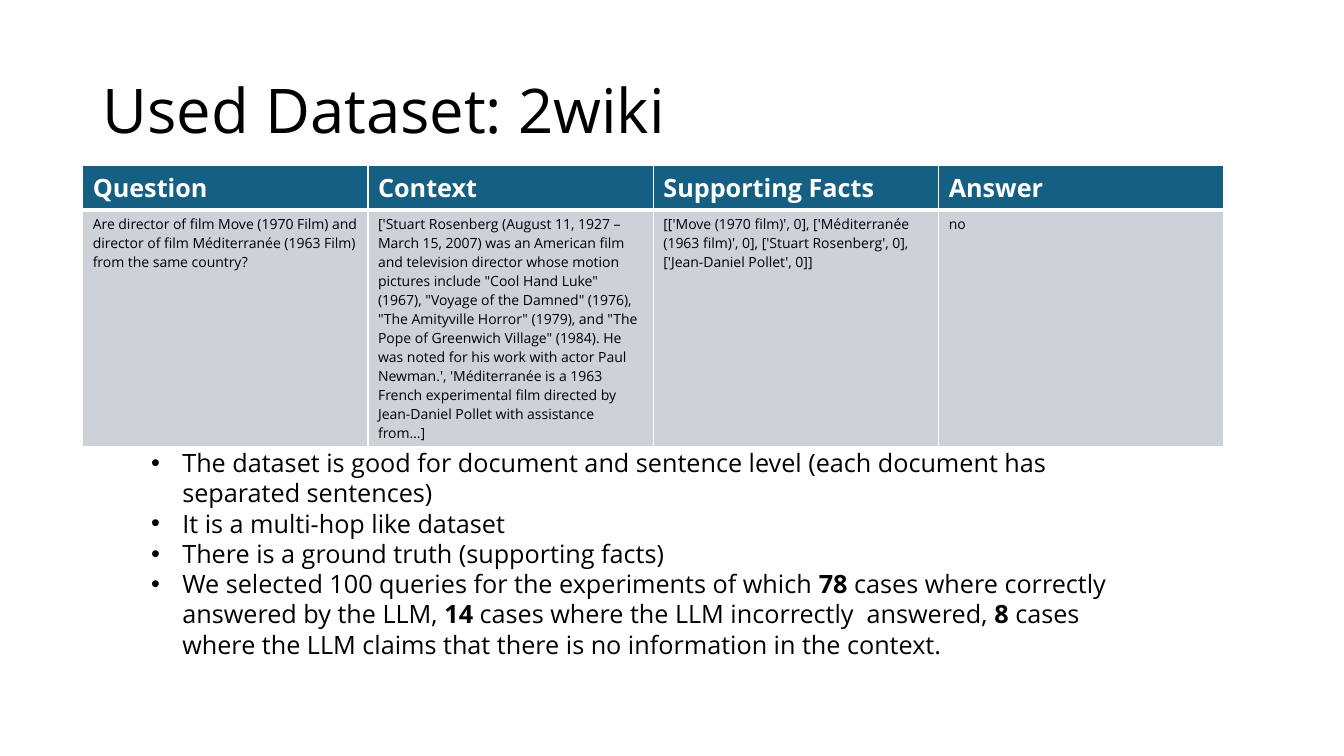
from dataclasses import dataclass

from lxml import etree
from pptx import Presentation
from pptx import util as u
from pptx.dml.color import RGBColor
from pptx.enum import text
from pptx.oxml import ns

EMU_PER_PX = 9144  # 100 px to the inch
FONT = "Open Sans"
BLACK, WHITE, TEAL, GRAY = "000000", "FFFFFF", "156082", "CCD2D8"


@dataclass(frozen=True)
class Box:
    left: int
    top: int
    width: int
    height: int

    def emu(self) -> list[u.Emu]:
        return [px(n) for n in (self.left, self.top, self.width, self.height)]


@dataclass(frozen=True)
class RowStyle:
    height: int
    size: int
    color: str
    fill: str
    bold: bool
    borders: dict[str, int]


@dataclass(frozen=True)
class Column:
    heading: str
    example: str


ROW_STYLES = [
    RowStyle(44, 18, WHITE, TEAL, True, {"L": 1, "R": 1, "T": 1, "B": 3}),
    RowStyle(235, 10, BLACK, GRAY, False, {"L": 1, "R": 1, "T": 3, "B": 1}),
]

TITLE_BOX = Box(92, 40, 1150, 145)
TABLE_BOX = Box(82, 164, 1132, sum(style.height for style in ROW_STYLES))
NOTES_BOX = Box(140, 439, 981, 222)
BULLET_INDENT = 31

COLUMNS = [
    Column(
        "Question",
        "Are director of film Move (1970 Film) and director of film "
        "Méditerranée (1963 Film) from the same country?",
    ),
    Column(
        "Context",
        "['Stuart Rosenberg (August 11, 1927 – March 15, 2007) was an American "
        "film and television director whose motion pictures include "
        '"Cool Hand Luke" (1967), "Voyage of the Damned" (1976), '
        '"The Amityville Horror" (1979), and "The Pope of Greenwich Village" '
        "(1984). He was noted for his work with actor Paul Newman.', "
        "'Méditerranée is a 1963 French experimental film directed by "
        "Jean-Daniel Pollet with assistance from…]",
    ),
    Column(
        "Supporting Facts",
        "[['Move (1970 film)', 0], ['Méditerranée (1963 film)', 0], "
        "['Stuart Rosenberg', 0], ['Jean-Daniel Pollet', 0]]",
    ),
    Column("Answer", "no"),
]

NOTES = [
    "The dataset is good for document and sentence level "
    "(each document has separated sentences)",
    "It is a multi-hop like dataset",
    "There is a ground truth (supporting facts)",
    "We selected 100 queries for the experiments of which **78** cases where "
    "correctly answered by the LLM, **14** cases where the LLM incorrectly  "
    "answered, **8** cases where the LLM claims that there is no information "
    "in the context.",
]


def px(length: int) -> u.Emu:
    return u.Emu(length * EMU_PER_PX)


def rgb(color: str) -> RGBColor:
    return RGBColor.from_string(color)


def format_run(run, size: int, color: str = BLACK, bold: bool = False) -> None:
    run.font.name = FONT
    run.font.size = u.Pt(size)
    run.font.bold = bold
    run.font.color.rgb = rgb(color)


def add_text_frame(slide, box: Box):
    frame = slide.shapes.add_textbox(*box.emu()).text_frame
    frame.word_wrap = True
    return frame


def add_title(slide, title: str) -> None:
    frame = add_text_frame(slide, TITLE_BOX)
    frame.vertical_anchor = text.MSO_ANCHOR.MIDDLE
    frame.text = title
    paragraph = frame.paragraphs[0]
    paragraph.line_spacing = 0.9
    format_run(paragraph.runs[0], 44)


def set_borders(cell, widths: dict[str, int]) -> None:
    """Draw white cell borders; call before the cell gets its fill."""
    properties = cell._tc.get_or_add_tcPr()
    for side, width in widths.items():
        line = etree.SubElement(properties, ns.qn(f"a:ln{side}"), w=str(u.Pt(width)))
        fill = etree.SubElement(line, ns.qn("a:solidFill"))
        etree.SubElement(fill, ns.qn("a:srgbClr"), val=WHITE)


def fill_cell(cell, content: str, style: RowStyle) -> None:
    set_borders(cell, style.borders)
    cell.fill.solid()
    cell.fill.fore_color.rgb = rgb(style.fill)
    cell.text = content
    format_run(cell.text_frame.paragraphs[0].runs[0], style.size, style.color, style.bold)


def add_example_table(slide) -> None:
    table = slide.shapes.add_table(len(ROW_STYLES), len(COLUMNS), *TABLE_BOX.emu()).table
    for row, style in zip(table.rows, ROW_STYLES):
        row.height = px(style.height)
    for index, column in enumerate(COLUMNS):
        table.columns[index].width = px(TABLE_BOX.width // len(COLUMNS))
        for row, content in enumerate((column.heading, column.example)):
            fill_cell(table.cell(row, index), content, ROW_STYLES[row])


def set_bullet(paragraph) -> None:
    properties = paragraph._p.get_or_add_pPr()
    properties.set("marL", str(px(BULLET_INDENT)))
    properties.set("indent", str(px(-BULLET_INDENT)))
    etree.SubElement(properties, ns.qn("a:buFont"), typeface="Arial")
    etree.SubElement(properties, ns.qn("a:buChar"), char="•")


def add_notes(slide) -> None:
    """Add the bullet list; words between ** marks are bold."""
    frame = add_text_frame(slide, NOTES_BOX)
    frame.auto_size = text.MSO_AUTO_SIZE.SHAPE_TO_FIT_TEXT
    for index, note in enumerate(NOTES):
        paragraph = frame.add_paragraph() if index else frame.paragraphs[0]
        set_bullet(paragraph)
        for position, part in enumerate(note.split("**")):
            run = paragraph.add_run()
            run.text = part
            format_run(run, 18, bold=position % 2 == 1)


def main() -> None:
    presentation = Presentation()
    presentation.slide_width, presentation.slide_height = px(1333), px(750)
    slide = presentation.slides.add_slide(presentation.slide_layouts[6])
    add_title(slide, "Used Dataset: 2wiki")
    add_example_table(slide)
    add_notes(slide)
    presentation.save("out.pptx")


if __name__ == "__main__":
    main()
